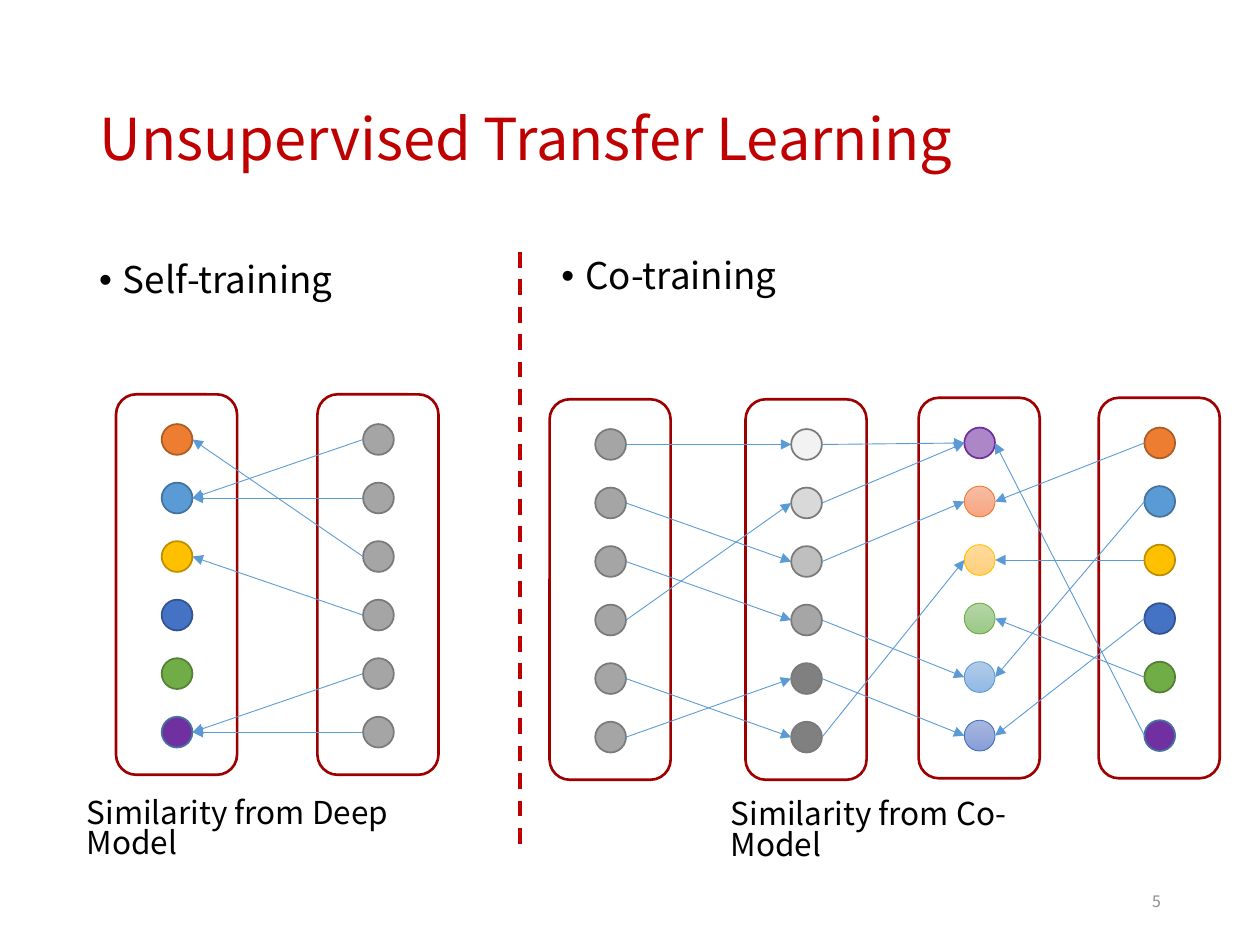
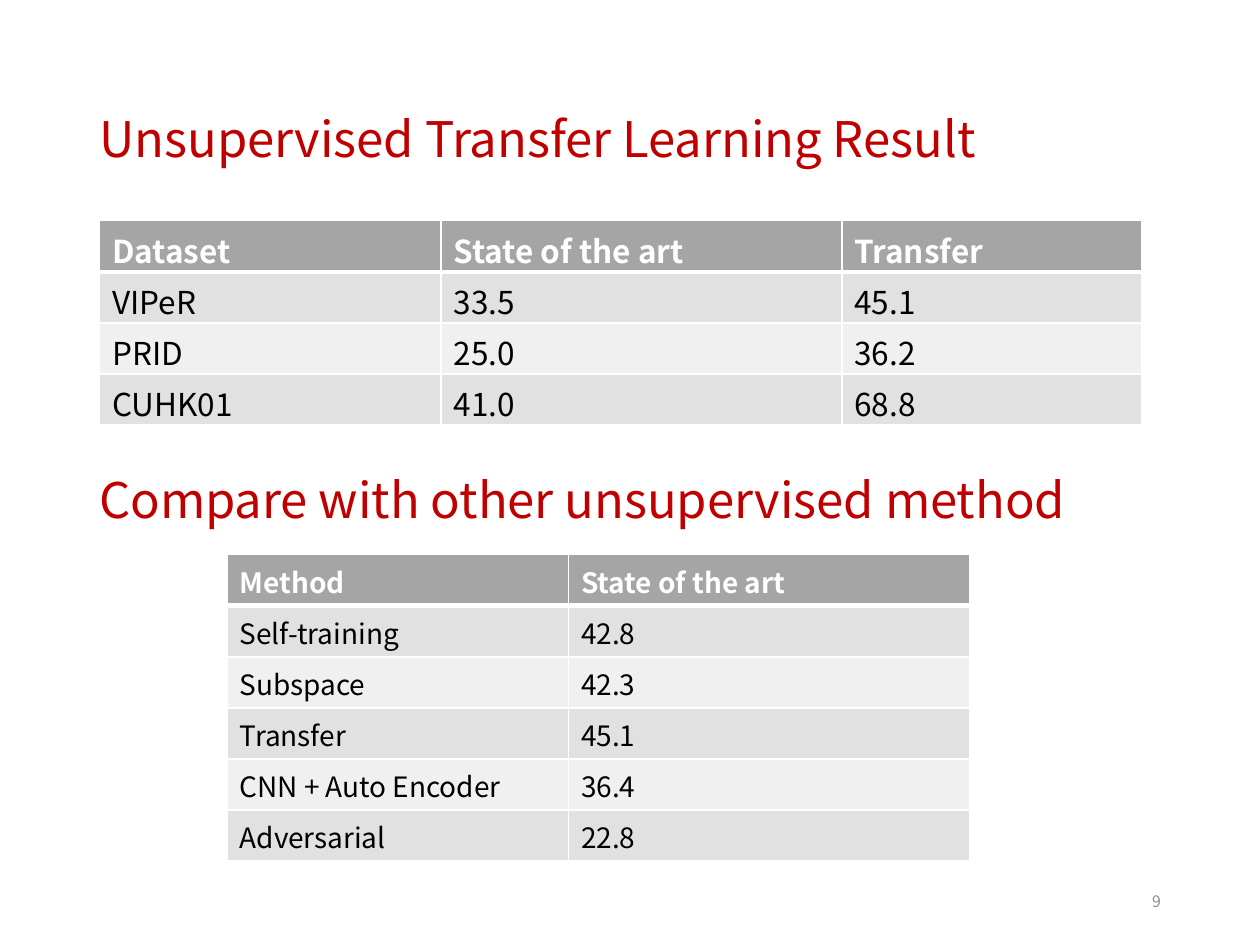
from lxml import etree
from pptx import Presentation
from pptx.dml.color import RGBColor
from pptx.enum.dml import MSO_LINE
from pptx.enum.shapes import MSO_CONNECTOR, MSO_SHAPE as Preset
from pptx.enum.text import MSO_ANCHOR as Anchor, MSO_AUTO_SIZE as AutoSize, PP_ALIGN as Align
from pptx.oxml.ns import qn
from pptx.util import Cm, Pt

FONT = "Noto Sans CJK SC"
COLORS = {
    "title": "C00000", "text": "000000", "number": "8C8C8C", "white": "FFFFFF",
    "panel": "9E0000", "arrow": "5B9BD5", "header": "A5A5A5",
    "odd_row": "E1E1E1", "even_row": "F0F0F0",
}

# Dot styles: (fill, outline), a fill pair being a vertical gradient
SOLID_DOTS = [("ED7D31", "AF5C24"), ("5B9BD5", "43739E"), ("FFC000", "BD8E00"),
              ("4472C4", "325491"), ("70AD47", "538035"), ("7030A0", "43739E")]
GRAY_DOTS = [("A5A5A5", "7A7A7A")] * 6
SHADED_DOTS = [(shade, "7A7A7A")
               for shade in ("F2F2F2", "D9D9D9", "BFBFBF", "A6A6A6", "808080", "808080")]
MIXED_DOTS = [("7030A0", "7030A0"), (("F7BDA5", "F8A582"), "ED7D31"),
              (("FFDB9E", "FFD07C"), "FFC000"), (("B5D5A7", "9CC987"), "70AD47"),
              (("B1CBE9", "93B9E4"), "5B9BD5"), (("A8B7DF", "889ED7"), "4472C4")]

# Panel geometry in centimetres
PANEL_WIDTH, PANEL_HEIGHT = 2.44, 7.67
DOT, DOT_PITCH, DOT_LEFT, DOT_TOP = 0.62, 1.18, 0.92, 0.6


def rgb(name):
    return RGBColor.from_string(COLORS.get(name, name))


class SlideBuilder:
    def __init__(self, deck):
        self.deck = deck
        self.slide = None

    def new_slide(self, title, size, number):
        self.slide = self.deck.slides.add_slide(self.deck.slide_layouts[5])
        box = self.slide.shapes.title
        box.left, box.top, box.width, box.height = Cm(1.75), Cm(1.02), Cm(21.9), Cm(3.68)
        self.heading(box, title, size)
        page = self.text(str(number), (17.93, 17.65, 5.72, 1.02), 9, "number")
        page.text_frame.vertical_anchor = Anchor.MIDDLE
        page.text_frame.paragraphs[0].alignment = Align.RIGHT

    def set_text(self, frame, text, size, color, bold=False):
        frame.text = text
        para = frame.paragraphs[0]
        for span in para.runs:
            span.font.name, span.font.size = FONT, Pt(size)
            span.font.bold = bold
            span.font.color.rgb = rgb(color)
        return para

    def heading(self, box, text, size):
        frame = box.text_frame
        frame.auto_size = AutoSize.NONE
        frame.word_wrap = True
        frame.vertical_anchor = Anchor.MIDDLE
        para = self.set_text(frame, text, size, "title")
        para.alignment = Align.LEFT
        para.line_spacing = 0.9

    def text(self, text, area, size, color="text"):
        box = self.slide.shapes.add_textbox(*map(Cm, area))
        box.text_frame.word_wrap = True
        self.set_text(box.text_frame, text, size, color)
        return box

    def caption(self, text, left, top, width):
        box = self.text(text, (left, top, width, 1.02), 18)
        box.text_frame.paragraphs[0].line_spacing = 0.81

    def bullet(self, text, left, top, width):
        para = self.text(text, (left, top, width, 2.08), 21).text_frame.paragraphs[0]
        para.line_spacing = 0.9
        para.space_before = Pt(7.5)
        props = para._p.get_or_add_pPr()
        indent = Cm(0.48)
        props.set("marL", str(indent))
        props.set("indent", str(-indent))
        etree.SubElement(props, qn("a:buFont"), typeface="Arial")
        etree.SubElement(props, qn("a:buChar"), char="•")

    def shape(self, preset, area, outline, weight):
        shape = self.slide.shapes.add_shape(preset, *map(Cm, area))
        shape.shadow.inherit = False
        shape.line.color.rgb = rgb(outline)
        shape.line.width = Pt(weight)
        return shape

    def dot(self, left, top, fill, outline):
        gradient = isinstance(fill, tuple)
        dot = self.shape(Preset.OVAL, (left, top, DOT, DOT), outline, 0.5 if gradient else 1)
        if gradient:
            dot.fill.gradient()
            dot.fill.gradient_angle = 270
            for stop, color in zip(dot.fill.gradient_stops, fill):
                stop.color.rgb = rgb(color)
            return
        dot.fill.solid()
        dot.fill.fore_color.rgb = rgb(fill)
        if fill == outline:  # the see-through dot
            color = dot._element.spPr.find(qn("a:solidFill"))[0]
            etree.SubElement(color, qn("a:alpha"), val="58000")

    def panel(self, left, top, dots):
        """Draw a column of dots and return its left edge x, right edge x and centre ys."""
        frame = self.shape(Preset.ROUNDED_RECTANGLE, (left, top, PANEL_WIDTH, PANEL_HEIGHT),
                           "panel", 1.5)
        frame.fill.background()
        x = left + DOT_LEFT
        tops = [top + DOT_TOP + DOT_PITCH * row for row in range(len(dots))]
        for y, (fill, outline) in zip(tops, dots):
            self.dot(x, y, fill, outline)
        return x, x + DOT, [y + DOT / 2 for y in tops]

    def line(self, start, end, color, weight, arrow=False, dash=None):
        line = self.slide.shapes.add_connector(MSO_CONNECTOR.STRAIGHT, *map(Cm, start + end))
        line.line.color.rgb = rgb(color)
        line.line.width = Pt(weight)
        if dash:
            line.line.dash_style = dash
        props = line._element.spPr
        if arrow:
            etree.SubElement(props.find(qn("a:ln")), qn("a:tailEnd"), type="triangle")
        etree.SubElement(props, qn("a:effectLst"))

    def arrows(self, source, target, matches):
        """Link each source dot to the target row listed in matches."""
        rightward = source[0] < target[0]
        start_x = source[1] if rightward else source[0]
        end_x = target[0] if rightward else target[1]
        for row, match in enumerate(matches):
            self.line((start_x, source[2][row]), (end_x, target[2][match]),
                      "arrow", 0.5, arrow=True)

    def borders(self, cell, row):
        props = cell._tc.get_or_add_tcPr()
        weights = {"lnL": 1, "lnR": 1, "lnT": 3 if row == 1 else 1, "lnB": 3 if row == 0 else 1}
        for tag, weight in weights.items():
            edge = etree.SubElement(props, qn("a:" + tag), w=str(Pt(weight)))
            fill = etree.SubElement(edge, qn("a:solidFill"))
            etree.SubElement(fill, qn("a:srgbClr"), val=COLORS["white"])

    def table(self, rows, left, top, widths, size):
        row_height = 1.03
        table = self.slide.shapes.add_table(
            len(rows), len(widths), Cm(left), Cm(top),
            Cm(sum(widths)), Cm(row_height * len(rows))).table
        for column, width in zip(table.columns, widths):
            column.width = Cm(width)
        for i, values in enumerate(rows):
            header = i == 0
            fill = "header" if header else "odd_row" if i % 2 else "even_row"
            for j, value in enumerate(values):
                cell = table.cell(i, j)
                self.borders(cell, i)
                cell.fill.solid()
                cell.fill.fore_color.rgb = rgb(fill)
                self.set_text(cell.text_frame, value, size, "white" if header else "text", header)


def training_slide(page):
    page.new_slide("Unsupervised Transfer Learning", 33, 5)

    # Self-training
    page.bullet("Self-training", 1.75, 5.16, 8.18)
    model = page.panel(2.34, 7.95, SOLID_DOTS)
    samples = page.panel(6.4, 7.95, GRAY_DOTS)
    page.arrows(samples, model, [1, 1, 0, 2, 5, 5])
    page.caption("Similarity from Deep Model", 1.5, 16.0, 8.08)

    # Divider
    page.line((10.49, 5.08), (10.49, 17.12), "title", 2.25, dash=MSO_LINE.DASH)

    # Co-training
    page.bullet("Co-training", 11.07, 5.08, 13.49)
    samples = page.panel(11.08, 8.05, GRAY_DOTS)
    shaded = page.panel(15.03, 8.05, SHADED_DOTS)
    model = page.panel(22.15, 8.02, SOLID_DOTS)
    mixed = page.panel(18.52, 8.02, MIXED_DOTS)
    page.arrows(samples, shaded, [0, 2, 3, 1, 5, 4])
    page.arrows(model, mixed, [1, 4, 2, 5, 3, 0])
    page.arrows(shaded, mixed, [0, 0, 1, 4, 5, 2])
    page.caption("Similarity from Co-Model", 14.48, 16.03, 7.0)


def result_slide(page):
    page.new_slide("Unsupervised Transfer Learning Result", 28, 9)
    page.table([
        ["Dataset", "State of the art", "Transfer"],
        ["VIPeR", "33.5", "45.1"],
        ["PRID", "25.0", "36.2"],
        ["CUHK01", "41.0", "68.8"],
    ], 2.01, 4.45, [6.88, 8.08, 6.05], 18)

    # Comparison of methods
    subtitle = page.text("", (1.75, 8.84, 21.9, 2.59), 28)
    page.heading(subtitle, "Compare with other unsupervised method", 28)
    page.table([
        ["Method", "State of the art"],
        ["Self-training", "42.8"],
        ["Subspace", "42.3"],
        ["Transfer", "45.1"],
        ["CNN + Auto Encoder", "36.4"],
        ["Adversarial", "22.8"],
    ], 4.58, 11.18, [6.88, 8.08], 16)


def main():
    deck = Presentation()
    deck.slide_width, deck.slide_height = Cm(25.4), Cm(19.05)
    page = SlideBuilder(deck)
    training_slide(page)
    result_slide(page)
    deck.save("out.pptx")


if __name__ == "__main__":
    main()
